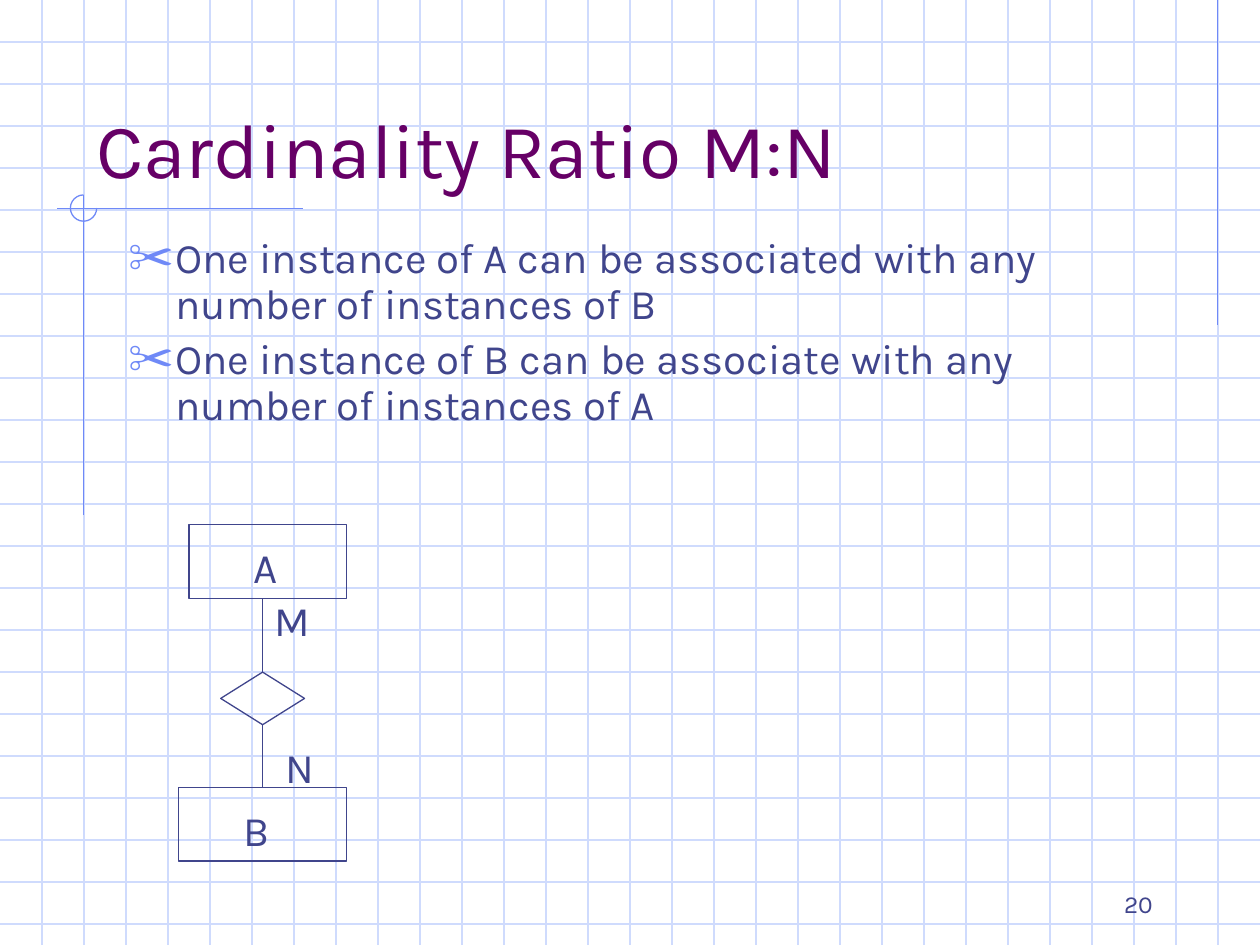
from typing import NamedTuple

from lxml import etree
from pptx import Presentation
from pptx.dml.color import RGBColor
from pptx.enum.shapes import MSO_CONNECTOR, MSO_SHAPE
from pptx.enum.text import MSO_ANCHOR, MSO_AUTO_SIZE, PP_ALIGN
from pptx.oxml.ns import qn
from pptx.util import Cm, Pt

STRAIGHT = MSO_CONNECTOR.STRAIGHT
RECTANGLE, DIAMOND, ARC = MSO_SHAPE.RECTANGLE, MSO_SHAPE.DIAMOND, MSO_SHAPE.ARC
TOP, BOTTOM = MSO_ANCHOR.TOP, MSO_ANCHOR.BOTTOM
LEFT, RIGHT = PP_ALIGN.LEFT, PP_ALIGN.RIGHT
NO_AUTOFIT = MSO_AUTO_SIZE.NONE

FONT = "Karla"
COLORS = {"grid": "CFDBFD", "accent": "6F89F7", "title": "660066", "ink": "40458C"}
WIDTH, HEIGHT = 25.4, 19.05
GRID_STEP = 2.54 / 3
AXIS = 5.29  # horizontal position of the relationship links


class Area(NamedTuple):
    left: float
    top: float
    width: float
    height: float


class Line(NamedTuple):
    x1: float
    y1: float
    x2: float
    y2: float
    color: str


class Outline(NamedTuple):
    kind: MSO_SHAPE
    area: Area
    color: str


class Label(NamedTuple):
    text: str
    area: Area
    size: int = 24
    align: PP_ALIGN = LEFT
    anchor: MSO_ANCHOR = TOP


ACCENT_LINES = [
    Line(24.55, 0, 24.55, 6.56, "accent"),
    Line(6.1, 4.21, 1.14, 4.21, "accent"),
    Line(1.69, 3.93, 1.69, 10.39, "accent"),
]
LINKS = [
    Line(AXIS, 13.55, AXIS, 12.07, "ink"),
    Line(AXIS, 14.61, AXIS, 15.88, "ink"),
]
ENTITIES = [
    Outline(RECTANGLE, Area(3.81, 10.58, 3.18, 1.48), "ink"),
    Outline(RECTANGLE, Area(3.6, 15.88, 3.39, 1.48), "ink"),
    Outline(DIAMOND, Area(4.45, 13.55, 1.69, 1.06), "ink"),
]
LABELS = [
    Label("A", Area(4.87, 10.8, 1.27, 1.27)),
    Label("B", Area(4.66, 16.09, 1.06, 1.27)),
    Label("M", Area(5.29, 11.85, 1.48, 1.27)),
    Label("N", Area(5.5, 14.82, 1.27, 1.27)),
    Label("20", Area(18.2, 17.36, 5.29, 1.27), 14, RIGHT, BOTTOM),
]
BULLETS = [
    "One instance of A can be associated with any number of instances of B",
    "One instance of B can be associate with any number of instances of A",
]


def rgb(color: str) -> RGBColor:
    return RGBColor.from_string(COLORS[color])


def add_line(page, line: Line) -> None:
    ends = (Cm(value) for value in line[:4])
    connector = page.shapes.add_connector(STRAIGHT, *ends)
    connector.line.color.rgb = rgb(line.color)
    connector.line.width = Pt(0.75)
    etree.SubElement(connector._element.spPr, qn("a:effectLst"))


def add_outline(page, outline: Outline):
    shape = page.shapes.add_shape(outline.kind, *map(Cm, outline.area))
    shape.shadow.inherit = False
    shape.fill.background()
    shape.line.color.rgb = rgb(outline.color)
    shape.line.width = Pt(0.75)
    return shape


def add_span(para, text: str, size: int, color: str) -> None:
    span = para.add_run()
    span.text = text
    span.font.name = FONT
    span.font.size = Pt(size)
    span.font.color.rgb = rgb(color)


def add_label(page, label: Label) -> None:
    box = page.shapes.add_textbox(*map(Cm, label.area))
    box.text_frame.word_wrap = True
    box.text_frame.vertical_anchor = label.anchor
    para = box.text_frame.paragraphs[0]
    para.alignment = label.align
    add_span(para, label.text, label.size, "ink")


def place(page, holder, area: Area, anchor: MSO_ANCHOR):
    """Move a placeholder, bring it to the front and return its text frame."""
    holder.left, holder.top, holder.width, holder.height = map(Cm, area)
    page.shapes._spTree.append(holder._element)
    frame = holder.text_frame
    frame.word_wrap = True
    frame.auto_size = NO_AUTOFIT
    frame.vertical_anchor = anchor
    return frame


def set_bullet(para) -> None:
    properties = para._p.get_or_add_pPr()
    properties.set("marL", str(Cm(0.95)))
    properties.set("indent", str(-Cm(0.95)))
    color = etree.SubElement(properties, qn("a:buClr"))
    etree.SubElement(color, qn("a:srgbClr"), val=COLORS["accent"])
    etree.SubElement(properties, qn("a:buSzPct"), val="110000")
    etree.SubElement(properties, qn("a:buChar"), char="✂")


def main() -> None:
    deck = Presentation()
    deck.slide_width, deck.slide_height = Cm(WIDTH), Cm(HEIGHT)
    page = deck.slides.add_slide(deck.slide_layouts[1])

    # Graph paper
    for row in range(1, 23):
        add_line(page, Line(0, row * GRID_STEP, WIDTH, row * GRID_STEP, "grid"))
    for column in range(1, 30):
        add_line(page, Line(column * GRID_STEP, 0, column * GRID_STEP, HEIGHT, "grid"))

    # Accent lines with the three-quarter circle at their crossing
    for line in ACCENT_LINES:
        add_line(page, line)
    arc = add_outline(page, Outline(ARC, Area(1.42, 3.93, 0.53, 0.53), "accent"))
    arc.adjustments[0] = 0
    arc.adjustments[1] = 162  # 270 degrees

    # Title and list
    title = place(page, page.shapes.title, Area(1.69, 0.85, 21.59, 3.18), BOTTOM)
    title.paragraphs[0].alignment = LEFT
    add_span(title.paragraphs[0], "Cardinality Ratio M:N", 44, "title")
    body = place(page, page.placeholders[1], Area(2.33, 4.66, 21.59, 4.45), TOP)
    for index, text in enumerate(BULLETS):
        para = body.add_paragraph() if index else body.paragraphs[0]
        para.line_spacing = 0.9
        para.space_before = Pt(6)
        set_bullet(para)
        add_span(para, text, 24, "ink")

    # Entity-relationship diagram and page number
    for outline in ENTITIES:
        add_outline(page, outline)
    for line in LINKS:
        add_line(page, line)
    for label in LABELS:
        add_label(page, label)

    deck.save("out.pptx")


if __name__ == "__main__":
    main()
